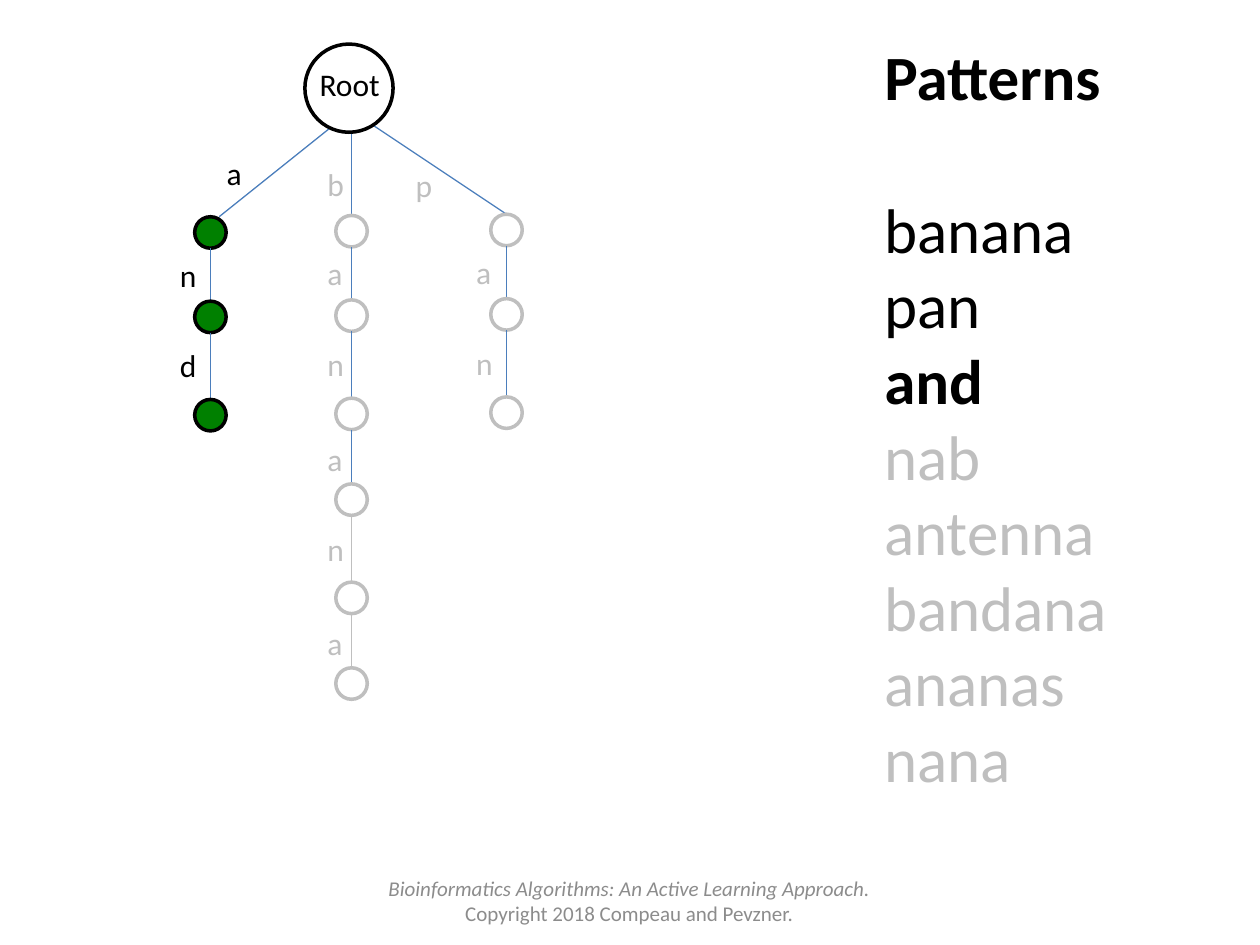
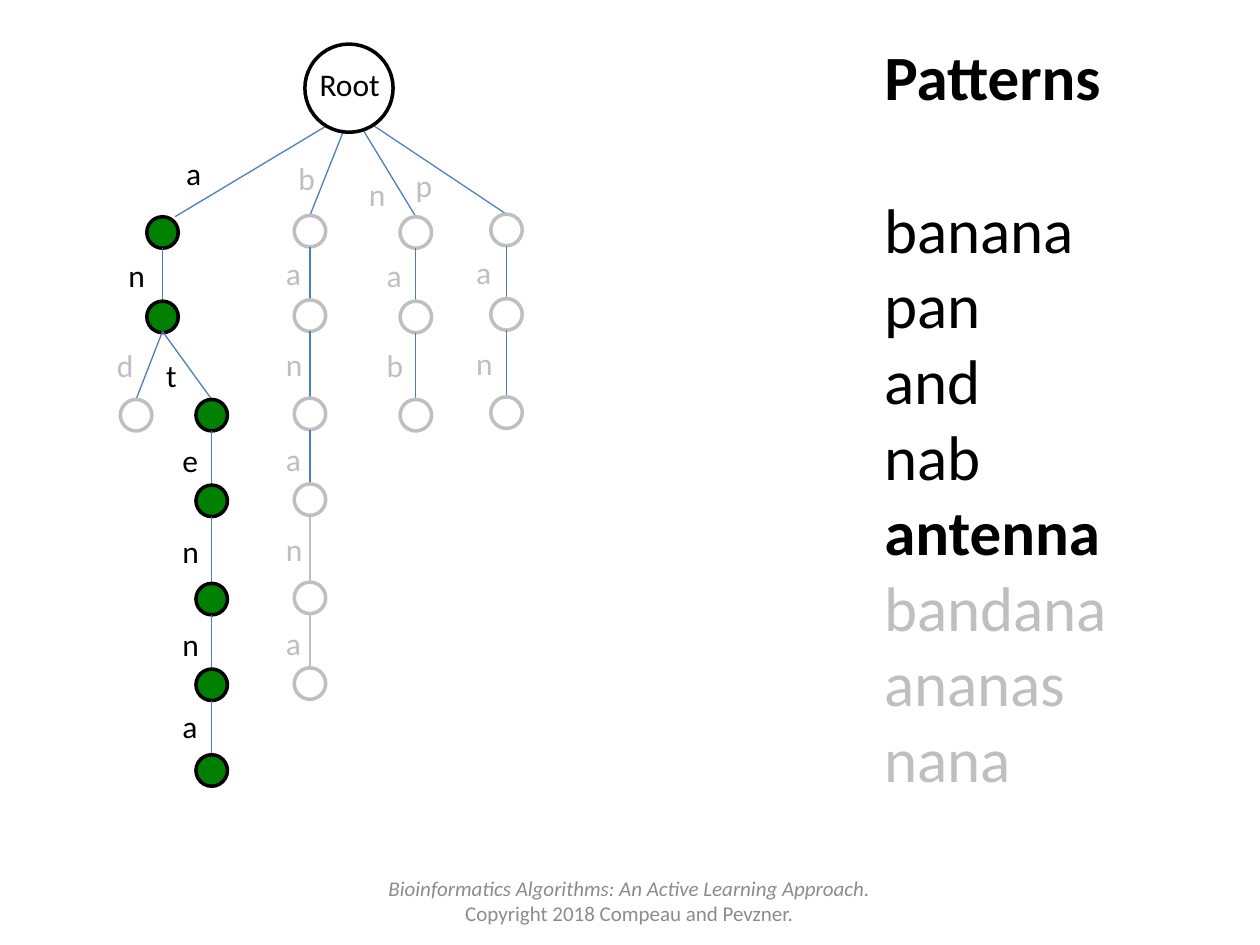
"""Build two slides that grow a trie from a list of patterns."""
from lxml import etree
from pptx import Presentation
from pptx import util as u
from pptx.dml.color import RGBColor
from pptx.enum import shapes, text
from pptx.oxml import ns

COLOURS = {"active": "000000", "faded": "BFBFBF", "visited": "008000",
           "empty": "FFFFFF", "edge": "4B7EBC", "footer": "8C8C8C"}
FONT = "Calibri"
PATTERNS = ["banana", "pan", "and", "nab", "antenna", "bandana", "ananas", "nana"]
ROOT = (2.79, 0.88)
ROOT_SIZE = 0.7
NODE = 0.25
NODE_ROWS = [1.71, 2.38, 3.16, 3.84, 4.62, 5.3, 5.98]
LABEL_ROWS = [1.17, 1.97, 2.69, 3.44, 4.16, 4.9, 5.55]
LABEL_SIZE = (0.34, 0.4)


def add_text(slide, box, lines, size, align=text.PP_ALIGN.LEFT, wrap=True):
    """Add a text box with one (words, colour, bold, italic) run per line."""
    shape = slide.shapes.add_textbox(*[u.Inches(length) for length in box])
    frame = shape.text_frame
    frame.word_wrap = wrap
    for index, (words, colour, bold, italic) in enumerate(lines):
        paragraph = frame.paragraphs[0] if index == 0 else frame.add_paragraph()
        paragraph.alignment = align
        run = paragraph.add_run()
        run.text = words
        run.font.name = FONT
        run.font.size = u.Pt(size)
        run.font.bold = bold
        run.font.italic = italic
        run.font.color.rgb = RGBColor.from_string(COLOURS[colour])
    return frame


def add_circle(slide, left, top, size, fill, line):
    """Add an outlined circle."""
    shape = slide.shapes.add_shape(shapes.MSO_SHAPE.OVAL, u.Inches(left), u.Inches(top),
                                   u.Inches(size), u.Inches(size))
    shape.shadow.inherit = False
    shape.fill.solid()
    shape.fill.fore_color.rgb = RGBColor.from_string(COLOURS[fill])
    shape.line.color.rgb = RGBColor.from_string(COLOURS[line])
    shape.line.width = u.Pt(2)


def_chain = {"row": 0, "start": ROOT, "active": False, "lean": 0, "shift": 0,
             "gap": 0.33, "faded_from": len(NODE_ROWS)}
pan = {"letters": "pan", "x": 4.02, "first": (3.2, 1.27), "shift": -0.01, "gap": 0.34}
banana = {"letters": "banana", "gap": 0.29, "faded_from": 4}
tries = [
    ("and", [
        {"letters": "and", "x": 1.67, "first": (1.7, 1.17), "active": True,
         "lean": 0.07, "shift": 0.01, "gap": 0.34},
        {**banana, "x": 2.79, "first": (2.5, 1.26)},
        pan,
    ]),
    ("antenna", [
        {"letters": "an", "x": 1.29, "first": (1.38, 1.17), "active": True,
         "lean": 0.1, "shift": 0.01, "gap": 0.37},
        {"letters": "d", "x": 1.08, "first": (0.83, 2.7), "row": 2,
         "start": (1.29, 2.63), "shift": 0.01},
        {"letters": "tenna", "x": 1.68, "first": (1.22, 2.78), "row": 2,
         "start": (1.29, 2.63), "active": True, "shift": 0.01},
        {**banana, "x": 2.46, "first": (2.27, 1.21)},
        {"letters": "nab", "x": 3.3, "first": (2.83, 1.34), "shift": 0.01},
        pan,
    ]),
]

presentation = Presentation()
presentation.slide_width = u.Inches(10)
presentation.slide_height = u.Inches(7.5)

for current, chains in tries:
    slide = presentation.slides.add_slide(presentation.slide_layouts[6])

    for chain in [{**def_chain, **chain} for chain in chains]:
        x, shift = chain["x"], chain["shift"]
        ink = "active" if chain["active"] else "faded"
        start = chain["start"]
        for step, letter in enumerate(chain["letters"]):
            row = chain["row"] + step
            top = NODE_ROWS[row] + shift
            end_x = x if step else x + chain["lean"]
            connector = slide.shapes.add_connector(
                shapes.MSO_CONNECTOR.STRAIGHT,
                *[u.Inches(length) for length in (*start, end_x, top)])
            etree.SubElement(connector._element.spPr, ns.qn("a:effectLst"))
            edge = "faded" if row >= chain["faded_from"] else "edge"
            connector.line.color.rgb = RGBColor.from_string(COLOURS[edge])
            connector.line.width = u.Pt(0.75)
            add_circle(slide, x - NODE / 2, top, NODE,
                       "visited" if chain["active"] else "empty", ink)
            place = (x - chain["gap"], LABEL_ROWS[row] + shift) if step else chain["first"]
            add_text(slide, (*place, *LABEL_SIZE), [(letter, ink, False, False)], 18, wrap=False)
            start = (x, top + NODE)

    add_circle(slide, 2.42, 0.35, ROOT_SIZE, "empty", "active")
    add_text(slide, (2.42, 0.47, 0.71, 0.4), [("Root", "active", False, False)], 18,
             text.PP_ALIGN.CENTER)

    lines = [("Patterns", "active", True, False)]
    for index, pattern in enumerate(PATTERNS):
        ink = "active" if index <= PATTERNS.index(current) else "faded"
        lines.append((pattern, ink, pattern == current, False))
    frame = add_text(slide, (6.92, 0.25, 2.67, 6.16), lines, 36)
    frame.paragraphs[1].space_before = u.Pt(44)

    frame = add_text(slide, (2.83, 6.95, 4.33, 0.4), [
        ("Bioinformatics Algorithms: An Active Learning Approach.", "footer", False, True),
        ("Copyright 2018 Compeau and Pevzner.", "footer", False, False),
    ], 12, text.PP_ALIGN.CENTER)
    frame.vertical_anchor = text.MSO_ANCHOR.MIDDLE

presentation.save("out.pptx")
